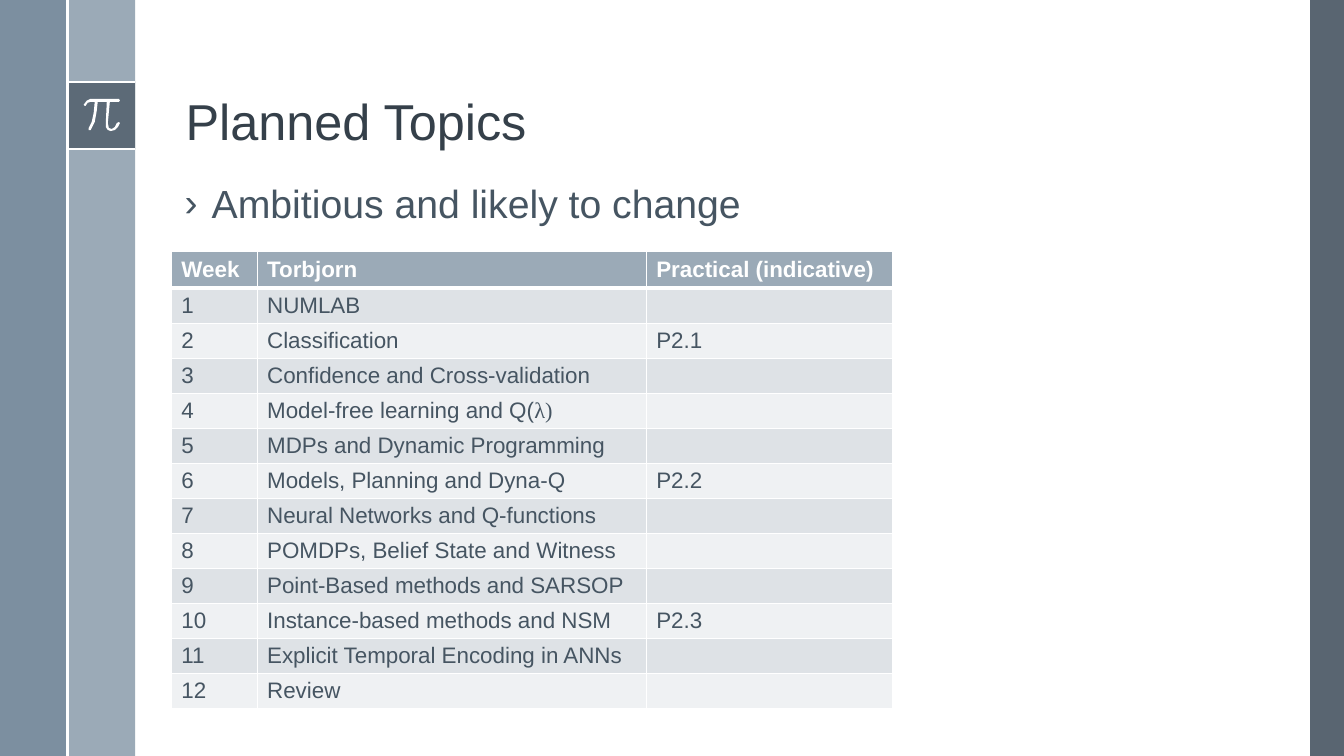
from lxml.etree import SubElement as Sub
from pptx import Presentation
from pptx.dml.color import RGBColor as Rgb
from pptx.enum.shapes import MSO_CONNECTOR as Conn, MSO_SHAPE as Kind
from pptx.enum.text import MSO_ANCHOR as Anchor, MSO_AUTO_SIZE as Fit, PP_ALIGN as Align
from pptx.oxml.ns import qn
from pptx.util import Inches, Pt

TITLE = "Planned Topics"
POINT = "Ambitious and likely to change"
HEAD = ("Week", "Torbjorn", "Practical (indicative)")
TOPICS = [
    "NUMLAB", "Classification", "Confidence and Cross-validation",
    "Model-free learning and Q(λ)", "MDPs and Dynamic Programming",
    "Models, Planning and Dyna-Q", "Neural Networks and Q-functions",
    "POMDPs, Belief State and Witness", "Point-Based methods and SARSOP",
    "Instance-based methods and NSM", "Explicit Temporal Encoding in ANNs",
    "Review",
]
TASKS = {2: "P2.1", 6: "P2.2", 10: "P2.3"}

THEME = {
    "font": "Arial", "greek": "Times New Roman",
    "white": "FFFFFF", "title": "35404A", "text": "465562",
    "dark": "475562", "blue": "6A8093", "pale": "9BAAB7",
    "bands": ("DEE2E6", "EFF1F3"),
    "big": 36, "mid": 28, "small": 16,
}

WIDE, HIGH = 13.33, 7.5
BAR = 0.67
BADGE = 0.81
# Left, top, width, height, colour, opacity in percent
BARS = [
    (WIDE - BAR / 2, 0, BAR / 2, HIGH, "dark", 90),
    (BAR, 0, BAR, HIGH, "pale", 100),
    (0, 0, BAR, HIGH, "blue", 88),
    (BAR, BADGE, BAR, BAR, "dark", 75),
]
RULES = [
    (BAR, BADGE, 2 * BAR, BADGE),
    (BAR, BADGE + BAR, 2 * BAR, BADGE + BAR),
    (BAR, 0, BAR, HIGH),
]
# Outline of the pi sign in hundredths of an inch
PI = [
    (118, 98), (90, 98), (86, 100), (83, 104), (84, 105), (85, 105),
    (87, 102), (90, 101), (94, 101), (93, 112), (91, 121), (88, 127),
    (88, 129), (90, 129), (94, 121), (96, 110), (97, 101), (106, 101),
    (105, 122), (105, 126), (107, 129), (110, 130), (114, 129), (117, 126),
    (119, 122), (118, 121), (116, 122), (114, 126), (111, 128), (108, 127),
    (107, 122), (109, 101), (118, 101), (119, 100),
]
TABLE = (1.7, 2.49)
COLS = (0.85, 3.86, 2.44)
TOP_ROW, FOOT = 0.37, 7.03
PAD = 0.03


def tint(name):
    """Return the colour for a theme name or a hex value."""
    return Rgb.from_string(THEME.get(name, name))


def put(obj, **vals):
    """Set each given attribute on an object."""
    for key, val in vals.items():
        setattr(obj, key, val)


def style(run, size, color, bold=False, face="font"):
    """Format one run of text."""
    put(run.font, name=THEME[face], size=Pt(THEME[size]), bold=bold)
    run.font.color.rgb = tint(color)


def paint(shape, color, clear=100):
    """Give a shape a plain fill at the given opacity."""
    shape.shadow.inherit = False
    shape.line.fill.background()
    shape.fill.solid()
    shape.fill.fore_color.rgb = tint(color)
    if clear < 100:
        node = next(shape.fill._xPr.iter(qn("a:srgbClr")))
        Sub(node, qn("a:alpha"), val=str(clear * 1000))


def rule(shapes, ends):
    """Draw a white line between two points."""
    line = shapes.add_connector(Conn.STRAIGHT, *map(Inches, ends))
    line.line.color.rgb = tint("white")
    line.line.width = Pt(1.5)
    Sub(line._element.spPr, qn("a:effectLst"))


def deck(shapes):
    """Draw the side bars, the rules and the pi badge."""
    for *box, color, clear in BARS:
        paint(shapes.add_shape(Kind.RECTANGLE, *map(Inches, box)), color, clear)
    for ends in RULES:
        rule(shapes, ends)
    pen = shapes.build_freeform(*PI[0], scale=Inches(0.01))
    pen.add_line_segments(PI[1:])
    paint(pen.convert_to_shape(), "white")


def write(hold, box, text, size, color, anchor):
    """Place a placeholder, fill in its text and return the paragraph."""
    put(hold, **dict(zip(("left", "top", "width", "height"), map(Inches, box))))
    put(hold.text_frame, word_wrap=True, auto_size=Fit.NONE,
        vertical_anchor=anchor)
    para = hold.text_frame.paragraphs[0]
    put(para, alignment=Align.LEFT, line_spacing=0.9)
    run = para.add_run()
    run.text = text
    style(run, size, color)
    return para


def bullet(para):
    """Add the angle bullet with its hanging indent."""
    para.space_before = Pt(14)
    props = para._p.get_or_add_pPr()
    props.set("marL", str(Inches(0.27)))
    props.set("indent", str(-Inches(0.27)))
    Sub(props, qn("a:buChar"), char="›")


def frame(cell, foot):
    """Draw white cell borders, the bottom one as wide as foot."""
    props = cell._tc.get_or_add_tcPr()
    for side, width in zip("LRTB", (1, 1, 1, foot)):
        line = Sub(props, qn("a:ln" + side), w=str(Pt(width)))
        fill = Sub(line, qn("a:solidFill"))
        Sub(fill, qn("a:srgbClr"), val=THEME["white"])


def enter(cell, text, row):
    """Fill one table cell according to its row."""
    head = row == 0
    frame(cell, 3 if head else 1)
    cell.fill.solid()
    cell.fill.fore_color.rgb = tint("pale" if head else THEME["bands"][(row - 1) % 2])
    put(cell, margin_top=Inches(PAD), margin_bottom=Inches(PAD),
        vertical_anchor=Anchor.MIDDLE)
    para = cell.text_frame.paragraphs[0]
    para.font.size = Pt(THEME["small"])
    main, mark, rest = text.partition("λ")
    for part, face in ((main, "font"), (mark + rest, "greek")):
        if part:
            run = para.add_run()
            run.text = part
            style(run, "small", "white" if head else "text", head, face)


def plan(shapes):
    """Build the table of weekly topics."""
    rows = [HEAD] + [(str(week), topic, TASKS.get(week, ""))
                     for week, topic in enumerate(TOPICS, 1)]
    high = FOOT - TABLE[1]
    box = map(Inches, (*TABLE, sum(COLS), high))
    grid = shapes.add_table(len(rows), len(COLS), *box).table
    for col, wide in zip(grid.columns, COLS):
        col.width = Inches(wide)
    for num, row in enumerate(rows):
        tall = (high - TOP_ROW) / len(TOPICS) if num else TOP_ROW
        grid.rows[num].height = Inches(tall)
        for col, text in enumerate(row):
            enter(grid.cell(num, col), text, num)


def main():
    """Build and save the slide."""
    show = Presentation()
    put(show, slide_width=Inches(WIDE), slide_height=Inches(HIGH))
    slide = show.slides.add_slide(show.slide_layouts[1])
    deck(slide.shapes)
    title, body = slide.placeholders
    write(title, (1.74, 0.19, 10.7, 1.36), TITLE, "big", "title", Anchor.BOTTOM)
    bullet(write(body, (1.73, 1.78, 10.7, 5), POINT, "mid", "text", Anchor.TOP))
    plan(slide.shapes)
    show.save("out.pptx")


main()
